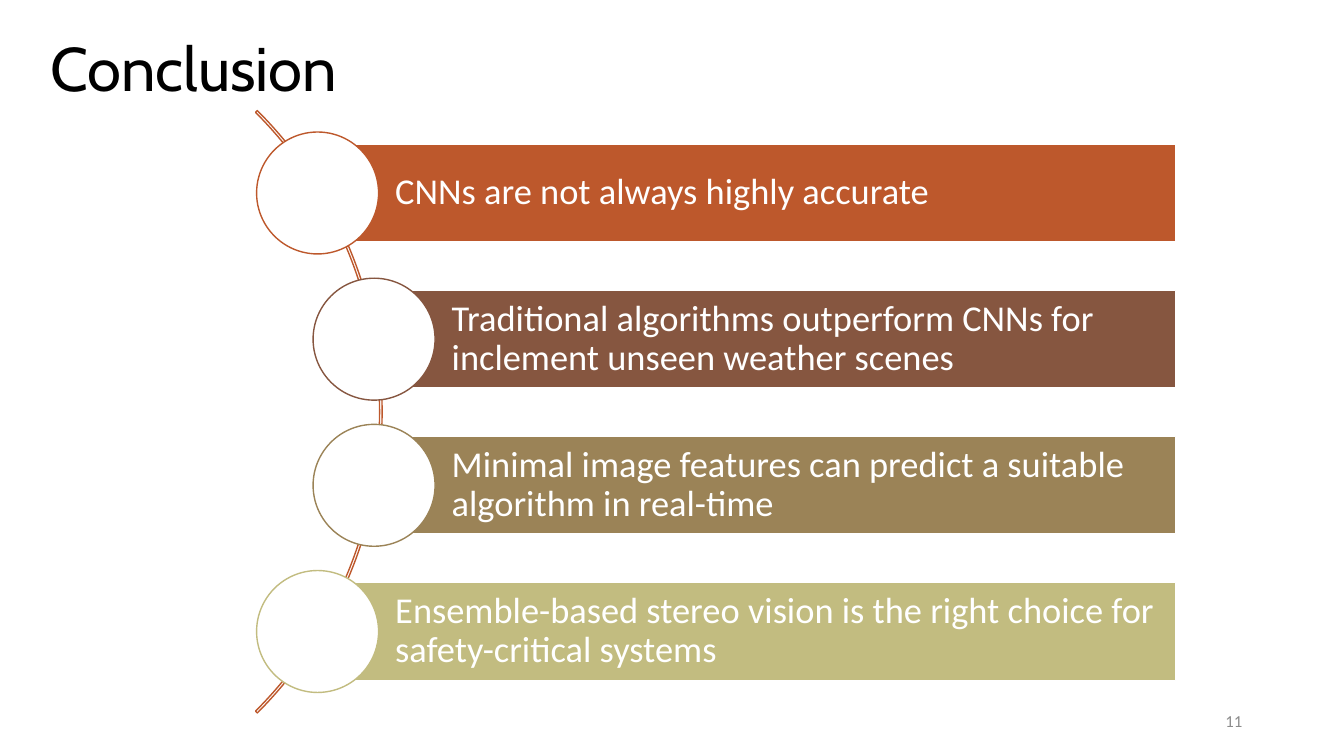
from pptx import Presentation
from pptx.dml.color import RGBColor
from pptx.enum.shapes import MSO_SHAPE as Preset
from pptx.enum.text import MSO_ANCHOR as Anchor, PP_ALIGN as Align
from pptx.util import Inches, Pt

BLACK = RGBColor(0x00, 0x00, 0x00)
WHITE = RGBColor(0xFF, 0xFF, 0xFF)
GREY = RGBColor(0x8C, 0x8C, 0x8C)
ORANGE = RGBColor(0xBD, 0x58, 0x2C)
BROWN = RGBColor(0x86, 0x56, 0x40)
TAN = RGBColor(0x9B, 0x83, 0x57)
OLIVE = RGBColor(0xC2, 0xBC, 0x80)

# Bar left edge, colour and wording of each conclusion
CONCLUSIONS = [
    (3.15, ORANGE, "CNNs are not always highly accurate"),
    (3.71, BROWN, "Traditional algorithms outperform CNNs for inclement unseen weather scenes"),
    (3.71, TAN, "Minimal image features can predict a suitable algorithm in real-time"),
    (3.15, OLIVE, "Ensemble-based stereo vision is the right choice for safety-critical systems"),
]
FIRST_TOP, ROW_STEP = 1.43, 1.45
BAR_RIGHT, BAR_HEIGHT = 11.66, 0.97
CIRCLE_SIZE = 1.21


def write_text(shape, text, size, font_name, color, align=Align.LEFT, line_spacing=1.0):
    frame = shape.text_frame
    frame.word_wrap = True
    frame.vertical_anchor = Anchor.MIDDLE
    para = frame.paragraphs[0]
    para.text = text
    para.alignment = align
    para.line_spacing = line_spacing
    para.font.size = Pt(size)
    para.font.name = font_name
    para.font.color.rgb = color


def add_label(page, left, top, width, height, *text_style):
    box = page.shapes.add_textbox(Inches(left), Inches(top), Inches(width), Inches(height))
    write_text(box, *text_style)


def add_outlined(page, preset, left, top, width, height, line_color, fill_color=None):
    shape = page.shapes.add_shape(
        preset, Inches(left), Inches(top), Inches(width), Inches(height))
    shape.shadow.inherit = False
    if fill_color is None:
        shape.fill.background()
    else:
        shape.fill.solid()
        shape.fill.fore_color.rgb = fill_color
    shape.line.color.rgb = line_color
    shape.line.width = Pt(1)
    return shape


def add_arc(page):
    arc = add_outlined(page, Preset.BLOCK_ARC, -4.66, -0.14, 8.45, 8.45, ORANGE)
    for index, value in enumerate((189, 27, 0.003)):
        arc.adjustments[index] = value


def add_conclusion(page, left, top, color, text):
    bar = add_outlined(page, Preset.RECTANGLE, left, top, BAR_RIGHT - left, BAR_HEIGHT,
                       WHITE, color)
    write_text(bar, text, 26, "Calibri", WHITE, Align.LEFT, 0.9)
    frame = bar.text_frame
    frame.margin_left = Inches(0.77)
    frame.margin_top = frame.margin_right = frame.margin_bottom = Inches(0.07)

    # The circle is centred on the left edge of its bar
    add_outlined(page, Preset.OVAL, left - CIRCLE_SIZE / 2,
                 top + (BAR_HEIGHT - CIRCLE_SIZE) / 2,
                 CIRCLE_SIZE, CIRCLE_SIZE, color, WHITE)


def main():
    deck = Presentation()
    deck.slide_width, deck.slide_height = Inches(13.33), Inches(7.5)
    page = deck.slides.add_slide(deck.slide_layouts[6])

    # Slide number and title
    add_label(page, 9.42, 6.95, 3, 0.4, "11", 12, "Calibri", GREY, Align.RIGHT)
    add_label(page, 0.4, 0.18, 11.5, 1.05, "Conclusion", 44, "Cabin", BLACK, Align.LEFT, 0.9)

    # Curved list of conclusions
    add_arc(page)
    for row, (left, color, text) in enumerate(CONCLUSIONS):
        add_conclusion(page, left, FIRST_TOP + row * ROW_STEP, color, text)

    deck.save("out.pptx")


if __name__ == "__main__":
    main()
